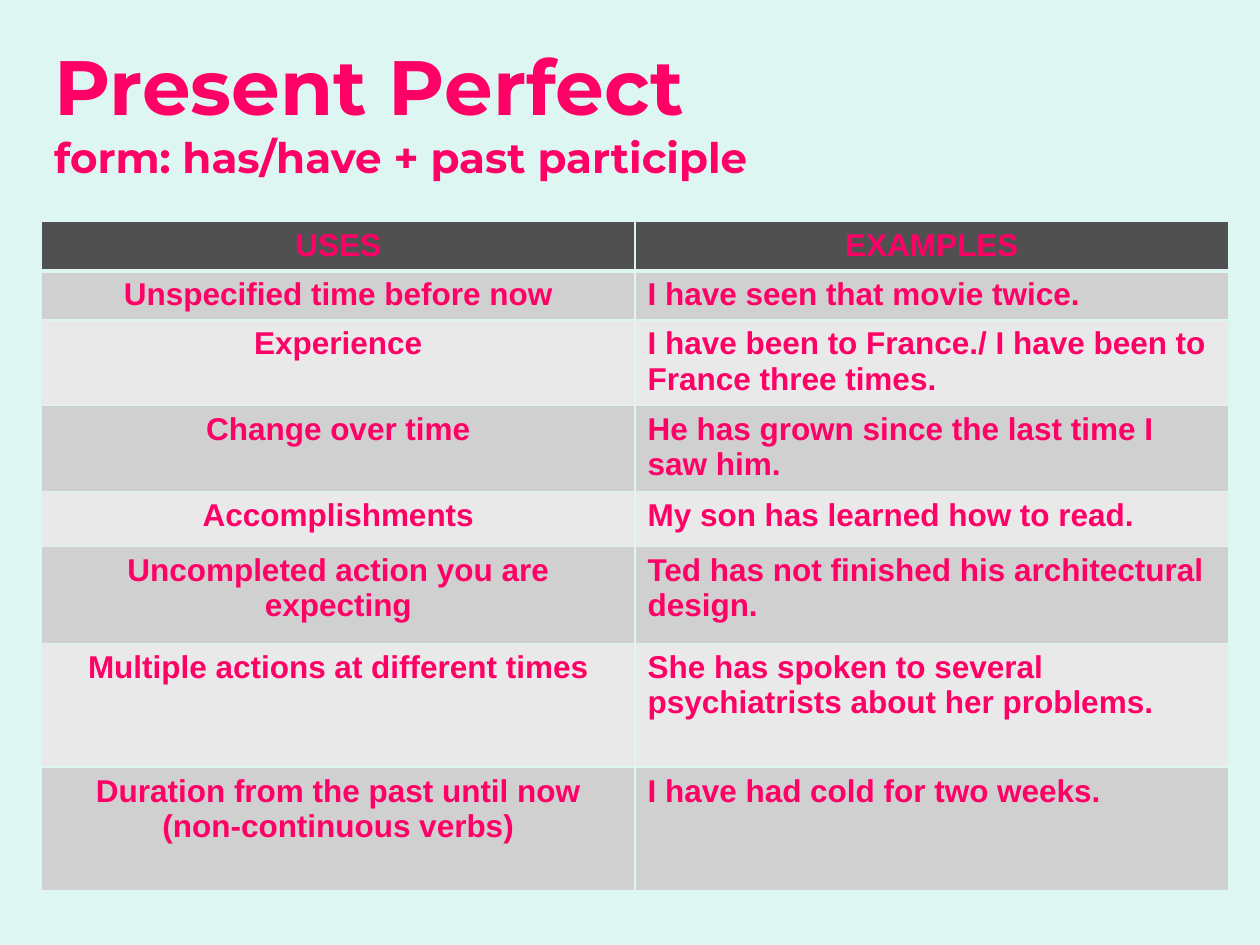
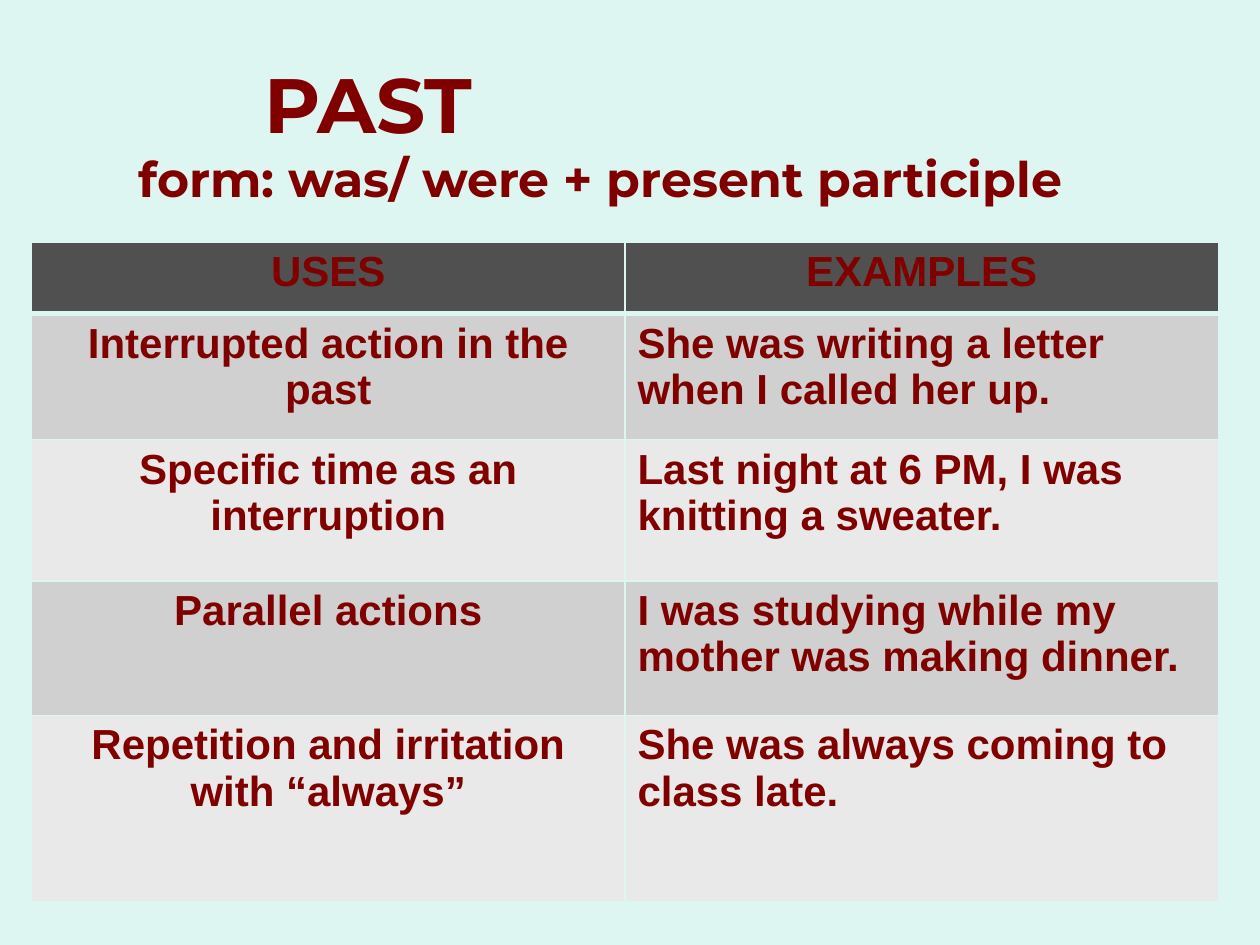
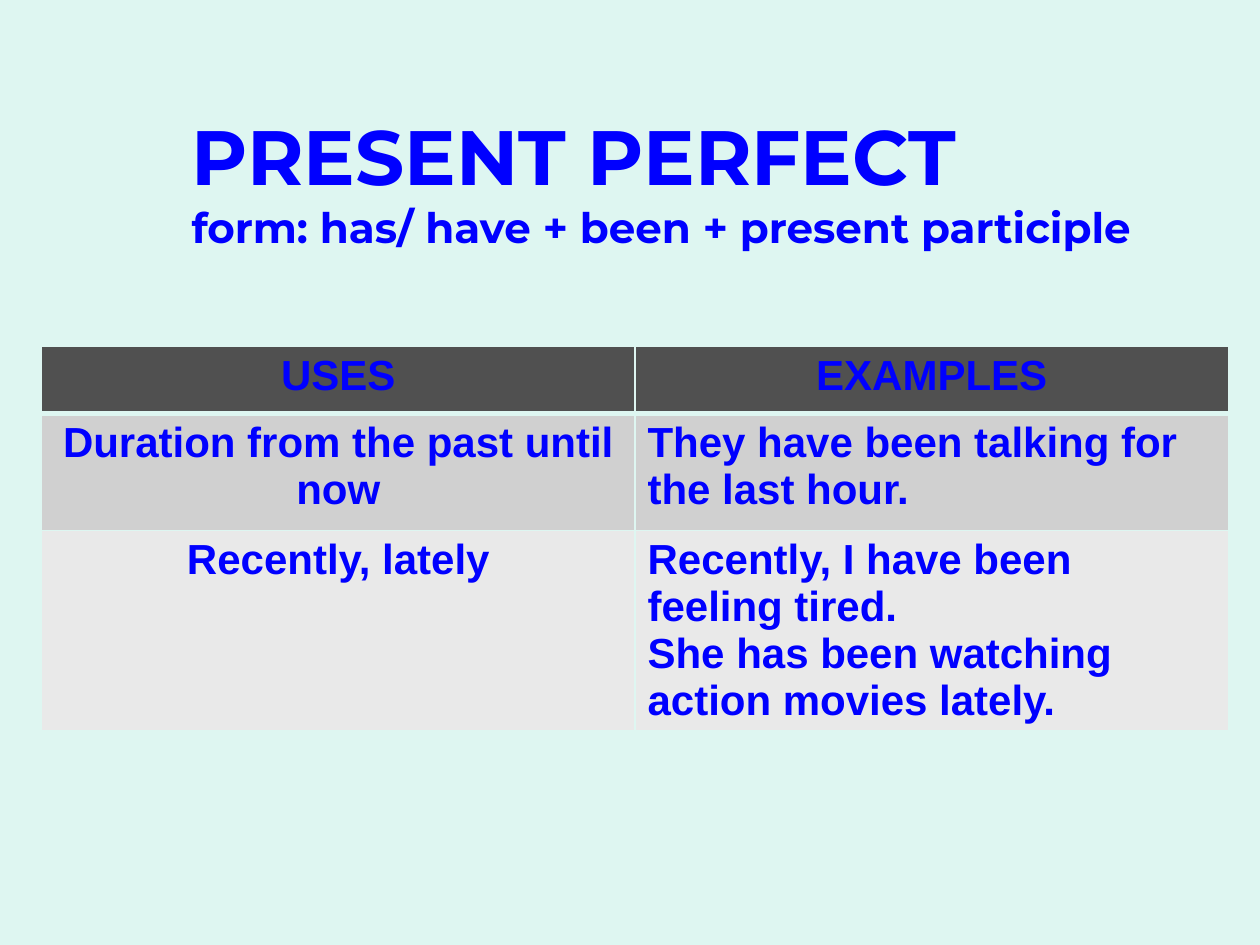
from lxml import etree
from pptx import Presentation
from pptx.dml.color import RGBColor
from pptx.enum.text import MSO_ANCHOR, MSO_AUTO_SIZE, PP_ALIGN
from pptx.oxml.ns import qn
from pptx.util import Inches, Pt

LEFT, CENTER = PP_ALIGN.LEFT, PP_ALIGN.CENTER
MIDDLE = MSO_ANCHOR.MIDDLE
NO_FIT = MSO_AUTO_SIZE.NONE

COLORS = {
    "back": "DEF6F1",
    "head": "505050",
    "dark": "D0D0D0",
    "light": "E9E9E9",
    "pink": "FF0066",
    "maroon": "800000",
    "blue": "0000FF",
}
COL_WIDTH = 4.71
HEADS = ("USES", "EXAMPLES")

PERFECT = [
    ("Unspecified time before now", "I have seen that movie twice."),
    ("Experience",
     "I have been to France./ I have been to France three times."),
    ("Change over time", "He has grown since the last time I saw him."),
    ("Accomplishments", "My son has learned how to read."),
    ("Uncompleted action you are expecting",
     "Ted has not finished his architectural design."),
    ("Multiple actions at different times",
     "She has spoken to several psychiatrists about her problems."),
    ("Duration from the past until now (non-continuous verbs)",
     "I have had cold for two weeks."),
]
PAST = [
    ("Interrupted action in the past",
     "She was writing a letter when I called her up."),
    ("Specific time as an interruption",
     "Last night at 6 PM, I was knitting a sweater."),
    ("Parallel actions",
     "I was studying while my mother was making dinner."),
    ("Repetition and irritation with “always”",
     "She was always coming to class late."),
]
RECENT = [
    ("Duration from the past until now",
     "They have been talking for the last hour."),
    ("Recently, lately",
     "Recently, I have been feeling tired.\n"
     "She has been watching action movies lately."),
]


def rgb(name):
    return RGBColor.from_string(COLORS[name])


def set_font(para, face, color):
    font = para.font
    font.name = face
    font.bold = True
    font.color.rgb = rgb(color)
    return font


def add_tab(para, pos):
    """Put a left tab stop at pos inches."""
    tabs = etree.SubElement(para._p.get_or_add_pPr(), qn("a:tabLst"))
    etree.SubElement(tabs, qn("a:tab"), pos=str(Inches(pos)), algn="l")


def add_title(slide, box, name, form, size, color, base=0.05):
    """Fill the title with a tense and, on the next line, its form."""
    title = slide.shapes.title
    title.left, title.top, title.width, title.height = map(Inches, box)
    frame = title.text_frame
    frame.word_wrap = True
    frame.auto_size = NO_FIT
    frame.vertical_anchor = MIDDLE
    frame.margin_bottom = Inches(base)
    para = frame.paragraphs[0]
    para.alignment = LEFT
    if "\t" in name:
        add_tab(para, 1)
    set_font(para, "Montserrat", color)
    top = para.add_run()
    top.text = name
    top.font.size = Pt(44)
    para.add_line_break()
    sub = para.add_run()
    sub.text = form
    sub.font.size = Pt(size)


def add_edge(cell, side, width):
    line = etree.SubElement(cell._tc.get_or_add_tcPr(), qn("a:ln" + side),
                            w=str(Pt(width)))
    fill = etree.SubElement(line, qn("a:solidFill"))
    etree.SubElement(fill, qn("a:srgbClr"), val=COLORS["back"])


def fill_cell(cell, text, row, align, size, color):
    for side in "LRTB":
        thick = (row, side) in ((0, "B"), (1, "T"))
        add_edge(cell, side, 3 if thick else 1)
    shade = "head" if row == 0 else "dark" if row % 2 else "light"
    cell.fill.solid()
    cell.fill.fore_color.rgb = rgb(shade)
    cell.text = text
    for para in cell.text_frame.paragraphs:
        para.alignment = align
        set_font(para, "Arial", color).size = Pt(size)


def add_uses(slide, left, top, rows, heights, size, color):
    """Draw the table of uses and examples."""
    rows = [HEADS, *rows]
    table = slide.shapes.add_table(
        len(rows), 2, Inches(left), Inches(top),
        Inches(2 * COL_WIDTH), Inches(sum(heights))).table
    for col in table.columns:
        col.width = Inches(COL_WIDTH)
    for r, (texts, height) in enumerate(zip(rows, heights)):
        table.rows[r].height = Inches(height)
        for c, text in enumerate(texts):
            align = LEFT if r and c else CENTER
            fill_cell(table.cell(r, c), text, r, align, size, color)


def main():
    prs = Presentation()
    prs.slide_width, prs.slide_height = Inches(10), Inches(7.5)
    back = prs.slide_master.background.fill
    back.solid()
    back.fore_color.rgb = rgb("back")
    layout = prs.slide_layouts.get_by_name("Title Only")

    slide = prs.slides.add_slide(layout)
    add_title(slide, (0.33, 0.25, 9.42, 1.25), "Present Perfect",
              "form: has/have + past participle", 24, "pink")
    add_uses(slide, 0.33, 1.76, PERFECT,
             (0.39, 0.39, 0.68, 0.68, 0.44, 0.77, 0.98, 0.98), 18, "pink")

    slide = prs.slides.add_slide(layout)
    add_title(slide, (1, 0.42, 10.5, 1.25), "\tPAST",
              "form: was/ were + present participle", 28, "maroon")
    add_uses(slide, 0.25, 1.92, PAST,
             (0.57, 1, 1.12, 1.07, 1.48), 24, "maroon")

    slide = prs.slides.add_slide(layout)
    add_title(slide, (1.42, 1, 11.5, 1.25), "PRESENT PERFECT",
              "form: has/ have + been + present participle", 24, "blue",
              base=0.44)
    add_uses(slide, 0.33, 2.75, RECENT, (0.53, 0.93, 1.57), 24, "blue")

    prs.save("out.pptx")


if __name__ == "__main__":
    main()
